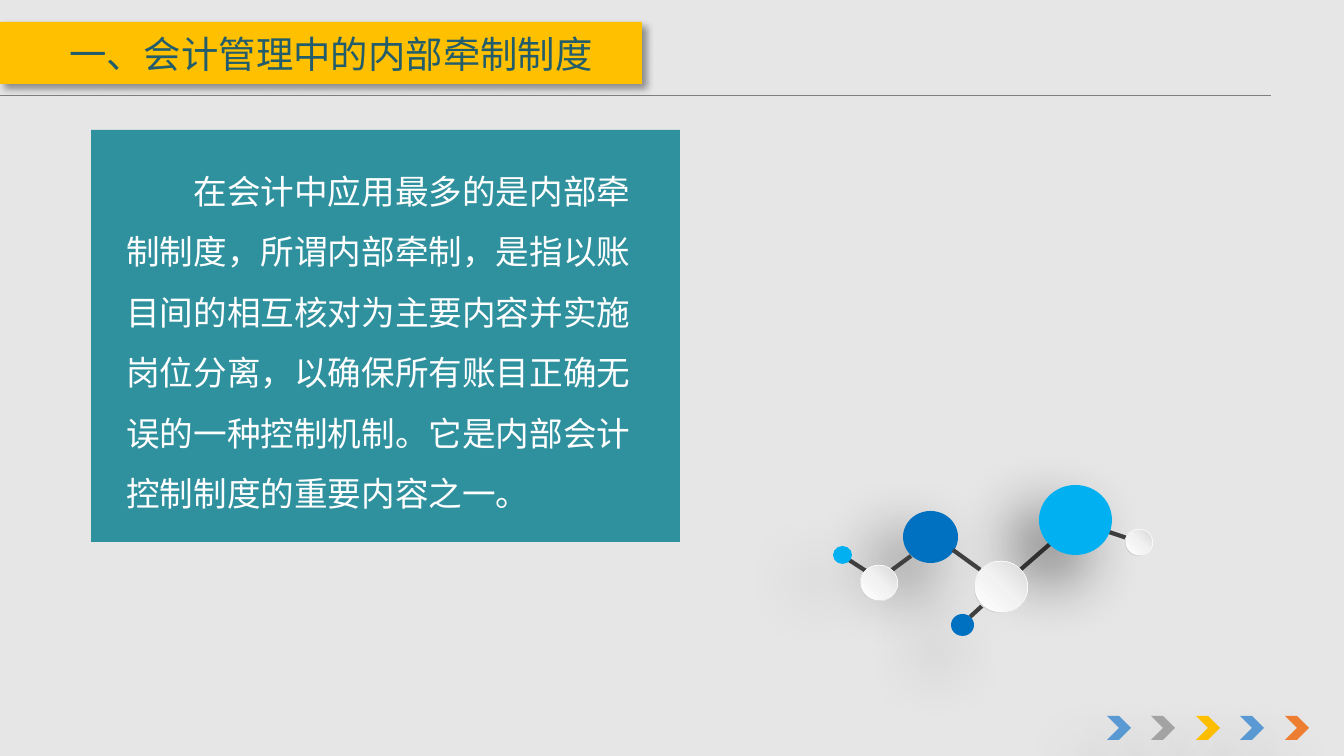
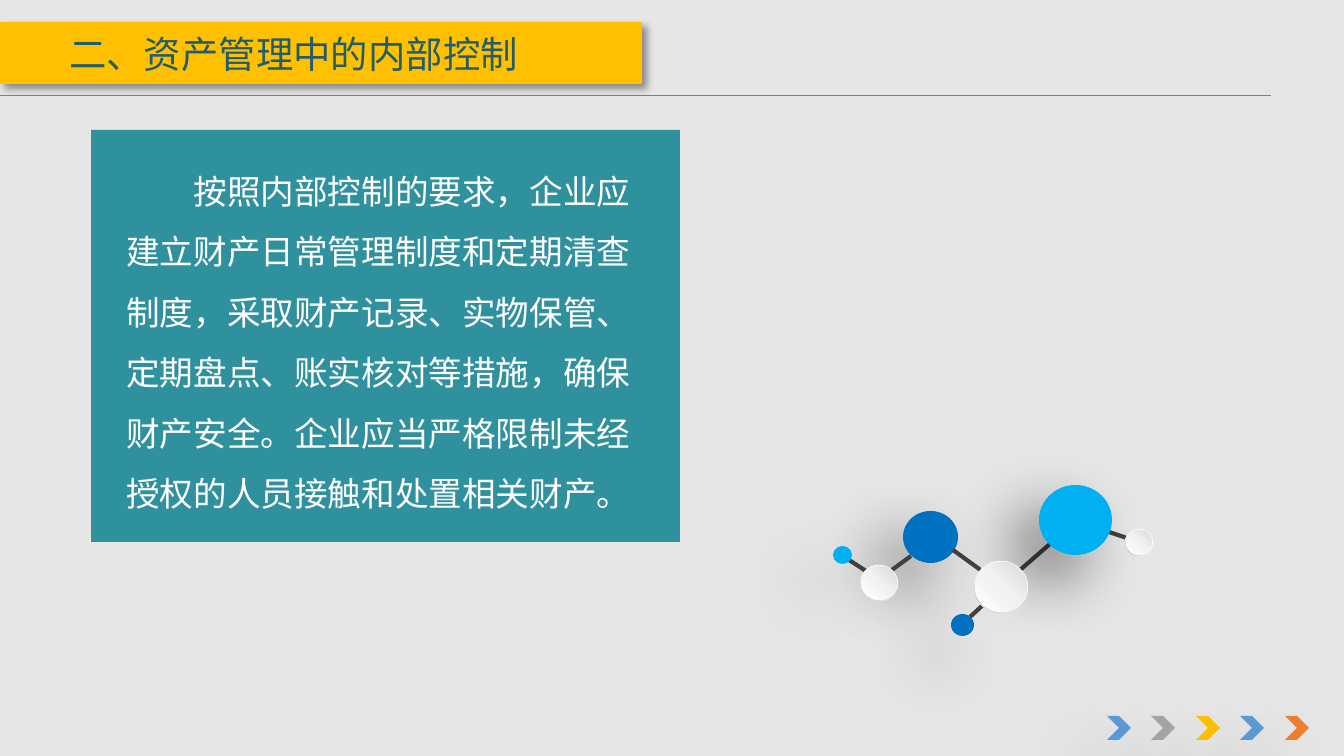
from lxml.etree import SubElement
from pptx import Presentation
from pptx.dml.color import RGBColor
from pptx.enum.shapes import MSO_CONNECTOR, MSO_SHAPE
from pptx.enum.text import MSO_ANCHOR, MSO_AUTO_SIZE
from pptx.oxml import parse_xml
from pptx.oxml.ns import nsdecls, qn
from pptx.util import Emu, Pt

SCALE = 914400 / 134.4
FONT = "Noto Sans CJK SC"
BACK = RGBColor(0xE6, 0xE6, 0xE6)
TEAL = RGBColor(0x17, 0x86, 0x95)
INK = RGBColor(0x23, 0x5D, 0x6B)
GOLD = RGBColor(0xFF, 0xC0, 0x00)
WHITE = RGBColor(0xFF, 0xFF, 0xFF)
RULE = RGBColor(0x7F, 0x7F, 0x7F)
DARK = RGBColor(0x40, 0x40, 0x40)
BLUE = RGBColor(0x5B, 0x9B, 0xD5)
GREY = RGBColor(0xA5, 0xA5, 0xA5)
RUST = RGBColor(0xED, 0x7D, 0x31)
SKY = RGBColor(0x00, 0xB0, 0xF0)
NAVY = RGBColor(0x00, 0x70, 0xC0)
PALE = RGBColor(0xF2, 0xF2, 0xF2)
MIST = RGBColor(0xD9, 0xD9, 0xD9)
ASH = RGBColor(0xBF, 0xBF, 0xBF)

PAGES = [
    ("一、会计管理中的内部牵制制度",
     "在会计中应用最多的是内部牵制制度，所谓内部牵制，是指以账目间的相互核对为主要内容"
     "并实施岗位分离，以确保所有账目正确无误的一种控制机制。它是内部会计控制制度的重要内容之一。"),
    ("二、资产管理中的内部控制",
     "按照内部控制的要求，企业应建立财产日常管理制度和定期清查制度，采取财产记录、实物保管、"
     "定期盘点、账实核对等措施，确保财产安全。企业应当严格限制未经授权的人员接触和处置相关财产。"),
]
STAGES = [
    ([(1106, 531, 1130, 539), (1019, 571, 1050, 544)],
     [(1039, 485, 73, 70, SKY), (903, 511, 55, 52, NAVY)]),
    ([(892, 570, 911, 556), (953, 550, 982, 571),
      (849, 560, 866, 571), (970, 617, 982, 606)],
     [(833, 546, 19, 18, SKY), (951, 614, 23, 22, NAVY)]),
]
PEARLS = [(1125, 529, 28, 27), (974, 561, 54, 52), (860, 565, 38, 36)]
RIM = (135, [(0, WHITE), (55, PALE), (100, ASH)])
CORE = (315, [(0, WHITE), (51, PALE), (100, MIST)])


def draw(slide, kind, box, fill, shade=None):
    item = slide.shapes.add_shape(kind, *[Emu(round(n * SCALE)) for n in box])
    item.shadow.inherit = False
    item.line.fill.background()
    props = item.element.spPr
    if isinstance(fill, RGBColor):
        item.fill.solid()
        item.fill.fore_color.rgb = fill
    else:
        angle, stops = fill
        marks = "".join(
            f'<a:gs pos="{at * 1000}"><a:srgbClr val="{tone}"/></a:gs>' for at, tone in stops)
        props.find(qn("a:prstGeom")).addnext(parse_xml(
            f'<a:gradFill {nsdecls("a")} rotWithShape="1"><a:gsLst>{marks}</a:gsLst>'
            f'<a:lin ang="{angle * 60000}" scaled="0"/></a:gradFill>'))
    if shade:
        alpha, blur, gap, turn = shade
        cast = SubElement(
            props.find(qn("a:effectLst")), qn("a:outerShdw"), blurRad=str(Pt(blur)),
            dist=str(Pt(gap)), dir=str(turn * 60000), algn="ctr", rotWithShape="0")
        tone = SubElement(cast, qn("a:srgbClr"), val="000000")
        SubElement(tone, qn("a:alpha"), val=str(alpha * 1000))
    return item


def link(slide, ends, color, width):
    line = slide.shapes.add_connector(
        MSO_CONNECTOR.STRAIGHT, *[Emu(round(n * SCALE)) for n in ends])
    line.line.color.rgb = color
    line.line.width = Pt(width)
    SubElement(line.element.spPr, qn("a:effectLst"))


deck = Presentation()
deck.slide_width = Emu(round(1344 * SCALE))
deck.slide_height = Emu(round(756 * SCALE))

for title, body in PAGES:
    slide = deck.slides.add_slide(deck.slide_layouts[6])
    slide.background.fill.solid()
    slide.background.fill.fore_color.rgb = BACK

    panel = draw(slide, MSO_SHAPE.RECTANGLE, (91, 130, 589, 412), TEAL)
    tone = panel.element.spPr.find(qn("a:solidFill"))[0]
    SubElement(tone, qn("a:alpha"), val="88000")
    link(slide, (-159, 95, 1271, 95), RULE, 0.5)
    draw(slide, MSO_SHAPE.RECTANGLE, (0, 22, 642, 62), GOLD, (40, 4, 3, 45))

    for step, color in enumerate((BLUE, GREY, GOLD, BLUE, RUST)):
        draw(slide, MSO_SHAPE.CHEVRON, (1107 + step * 89 // 2, 716, 24, 24),
             color, (38, 36, 24, 130))

    for text, box, size, color, space in (
            (title, (56, -17, 1159, 146), 20, INK, 0.9),
            (body, (113, 144, 546, 380), 18, WHITE, 1.5)):
        label = slide.shapes.add_textbox(*[Emu(round(n * SCALE)) for n in box])
        frame = label.text_frame
        frame.word_wrap = True
        frame.text = text
        para = frame.paragraphs[0]
        para.line_spacing = space
        font = para.runs[0].font
        font.size = Pt(size)
        font.name = FONT
        font.color.rgb = color
        SubElement(font._element, qn("a:ea"), typeface=FONT)
        if text == title:
            frame.vertical_anchor = MSO_ANCHOR.MIDDLE
        else:
            frame.auto_size = MSO_AUTO_SIZE.SHAPE_TO_FIT_TEXT
            para._p.get_or_add_pPr().set("indent", "457200")

    for links, discs in STAGES:
        for ends in links:
            link(slide, ends, DARK, 2.25)
        for x, y, w, h, color in discs:
            draw(slide, MSO_SHAPE.OVAL, (x, y, w, h), color, (50, 35, 20, 135))
            draw(slide, MSO_SHAPE.OVAL, (x + 1, y + 1, w - 2, h - 2), color)
    for x, y, w, h in PEARLS:
        ring = draw(slide, MSO_SHAPE.DONUT, (x, y, w, h), RIM)
        ring.adjustments[0] = 0.05
        draw(slide, MSO_SHAPE.OVAL, (x + 1, y + 1, w - 2, h - 2), CORE)

deck.save("out.pptx")
